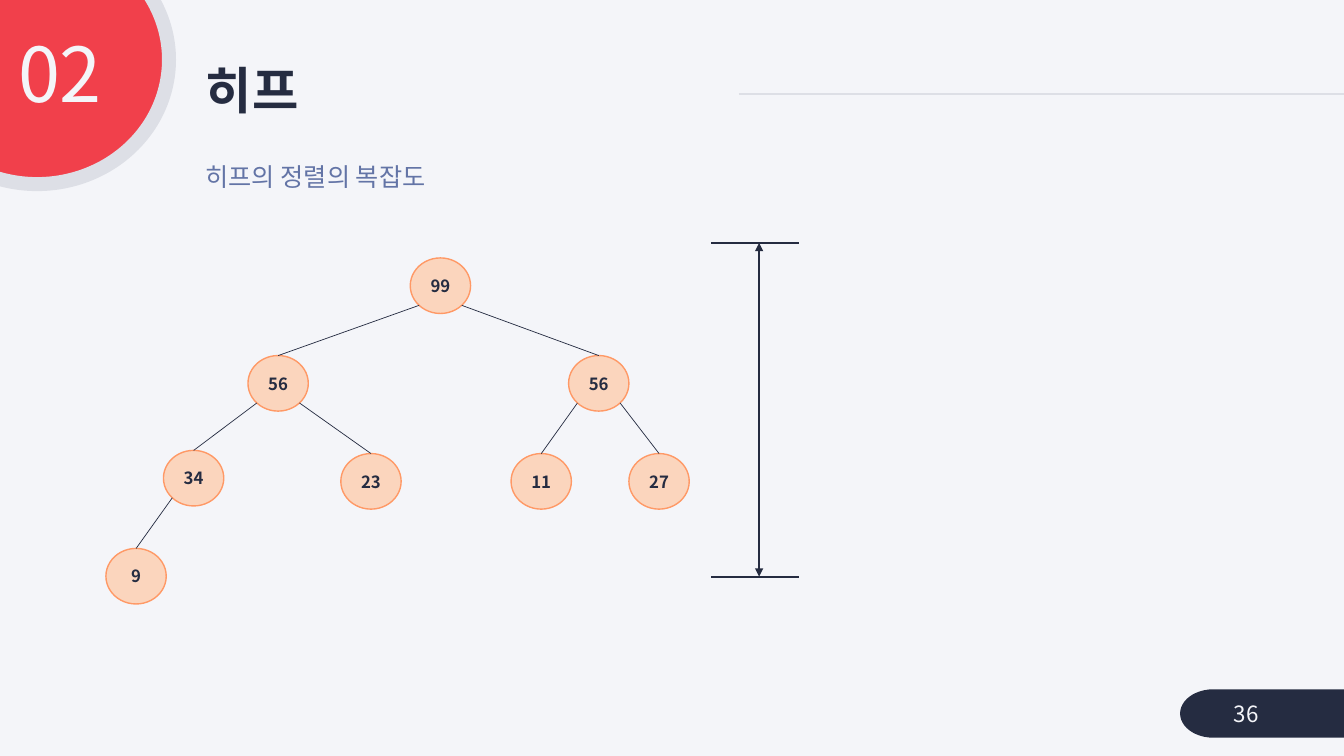
from dataclasses import dataclass

from lxml import etree
from pptx import Presentation
from pptx.dml.color import RGBColor
from pptx.enum.shapes import MSO_CONNECTOR, MSO_SHAPE
from pptx.enum.text import MSO_ANCHOR, MSO_AUTO_SIZE, PP_ALIGN
from pptx.oxml.ns import qn
from pptx.util import Cm, Pt

STRAIGHT = MSO_CONNECTOR.STRAIGHT
ELLIPSE, TERMINATOR = MSO_SHAPE.OVAL, MSO_SHAPE.FLOWCHART_TERMINATOR
TOP, MIDDLE = MSO_ANCHOR.TOP, MSO_ANCHOR.MIDDLE
LEFT, CENTER, RIGHT = PP_ALIGN.LEFT, PP_ALIGN.CENTER, PP_ALIGN.RIGHT
NO_AUTOFIT = MSO_AUTO_SIZE.NONE
TITLE_ONLY = 5


@dataclass(frozen=True)
class Theme:
    font: str = "Noto Sans CJK KR"
    paper: str = "F4F5F9"
    ink: str = "252C41"
    accent: str = "F1404B"
    rule: str = "DDDFE6"
    muted: str = "6374A6"
    node_fill: str = "FBD5BD"
    node_line: str = "FF9966"
    number_size: int = 54
    title_size: int = 36
    subtitle_size: int = 18
    page_size: int = 16
    node_size: int = 12


NODE_WIDTH, NODE_HEIGHT = 1.52, 1.40
DIAGONAL = 0.5 ** 0.5 / 2

# name: (label, centre x, centre y, parent name), in cm
HEAP = {
    "root": ("99", 11.10, 7.20, None),
    "left": ("56", 7.01, 9.66, "root"),
    "right": ("56", 15.09, 9.66, "root"),
    "left_left": ("34", 4.88, 12.05, "left"),
    "left_right": ("23", 9.35, 12.13, "left"),
    "right_left": ("11", 13.64, 12.13, "right"),
    "right_right": ("27", 16.61, 12.13, "right"),
    "last": ("9", 3.43, 14.52, "left_left"),
}


def write(shape, text, *, size, color, font, bold=False, align=LEFT,
          anchor=MIDDLE, spacing=1.0):
    frame = shape.text_frame
    frame.word_wrap = True
    frame.auto_size = NO_AUTOFIT
    frame.vertical_anchor = anchor
    para = frame.paragraphs[0]
    para.alignment = align
    para.line_spacing = spacing
    para.space_before = Pt(0)
    span = para.add_run()
    span.text = text
    span.font.name = font
    span.font.size = Pt(size)
    span.font.bold = bold
    span.font.color.rgb = RGBColor.from_string(color)
    east_asian = etree.SubElement(span.font._element, qn("a:ea"))
    east_asian.set("typeface", font)


class SlideBuilder:
    def __init__(self, deck, theme):
        self.theme = theme
        self.page = deck.slides.add_slide(deck.slide_layouts[TITLE_ONLY])
        background = self.page.background.fill
        background.solid()
        background.fore_color.rgb = RGBColor.from_string(theme.paper)

    def title(self, text, left, top, width, height, **style):
        box = self.page.shapes.title
        box.left, box.top = Cm(left), Cm(top)
        box.width, box.height = Cm(width), Cm(height)
        write(box, text, font=self.theme.font, **style)

    def text(self, text, left, top, width, height, **style):
        box = self.page.shapes.add_textbox(
            Cm(left), Cm(top), Cm(width), Cm(height))
        write(box, text, font=self.theme.font, **style)

    def shape(self, kind, left, top, width, height, fill, line=None, weight=1):
        shape = self.page.shapes.add_shape(
            kind, Cm(left), Cm(top), Cm(width), Cm(height))
        shape.shadow.inherit = False
        shape.fill.solid()
        shape.fill.fore_color.rgb = RGBColor.from_string(fill)
        if line:
            shape.line.color.rgb = RGBColor.from_string(line)
            shape.line.width = Pt(weight)
        else:
            shape.line.fill.background()
        return shape

    def line(self, x1, y1, x2, y2, color, weight, arrows=False):
        line = self.page.shapes.add_connector(
            STRAIGHT, Cm(x1), Cm(y1), Cm(x2), Cm(y2))
        line.line.color.rgb = RGBColor.from_string(color)
        line.line.width = Pt(weight)
        if arrows:
            outline = line.line._get_or_add_ln()
            for end in ("a:headEnd", "a:tailEnd"):
                etree.SubElement(outline, qn(end)).set("type", "triangle")
        etree.SubElement(line._element.spPr, qn("a:effectLst"))

    def node(self, label, x, y):
        theme = self.theme
        circle = self.shape(
            ELLIPSE, x - NODE_WIDTH / 2, y - NODE_HEIGHT / 2,
            NODE_WIDTH, NODE_HEIGHT, theme.node_fill, theme.node_line)
        frame = circle.text_frame
        frame.margin_left = frame.margin_right = 0
        write(circle, label, size=theme.node_size, color=theme.ink,
              font=theme.font, bold=True, align=CENTER)

    def edge(self, parent, child):
        """Join the parent's lower diagonal point to the top of the child."""
        (_, px, py, _), (_, x, y, _) = parent, child
        side = -1 if x < px else 1
        self.line(px + side * DIAGONAL * NODE_WIDTH, py + DIAGONAL * NODE_HEIGHT,
                  x, y - NODE_HEIGHT / 2, self.theme.ink, 0.5)

    def height_marker(self, left, right, x, top, bottom):
        for y in (top, bottom):
            self.line(left, y, right, y, self.theme.ink, 1.5)
        self.line(x, top, x, bottom, self.theme.ink, 1.5, arrows=True)


def main():
    deck = Presentation()
    deck.slide_width, deck.slide_height = Cm(33.87), Cm(19.05)
    theme = Theme()
    slide = SlideBuilder(deck, theme)

    slide.line(18.62, 2.36, 33.87, 2.36, theme.rule, 1.5)
    slide.shape(ELLIPSE, -2.39, -1.63, 6.65, 6.27, theme.accent, theme.rule, 10)
    slide.shape(TERMINATOR, 29.74, 17.37, 5.21, 1.22, theme.ink)
    slide.title("히프", 4.93, 1.50, 13.69, 1.70, size=theme.title_size,
                color=theme.ink, bold=True, spacing=0.9)
    slide.text("02", -0.28, 0.81, 3.10, 2.34, size=theme.number_size,
               color=theme.paper, align=RIGHT, anchor=TOP, spacing=0.9)
    slide.text("36", 30.84, 17.48, 2.77, 1.02, size=theme.page_size,
               color=theme.paper)
    slide.text("히프의 정렬의 복잡도", 4.93, 3.94, 10.80, 1.02,
               size=theme.subtitle_size, color=theme.muted, anchor=TOP)

    for item in HEAP.values():
        label, x, y, parent = item
        slide.node(label, x, y)
        if parent:
            slide.edge(HEAP[parent], item)
    slide.height_marker(17.93, 20.14, 19.13, 6.12, 14.53)

    deck.save("out.pptx")


if __name__ == "__main__":
    main()
